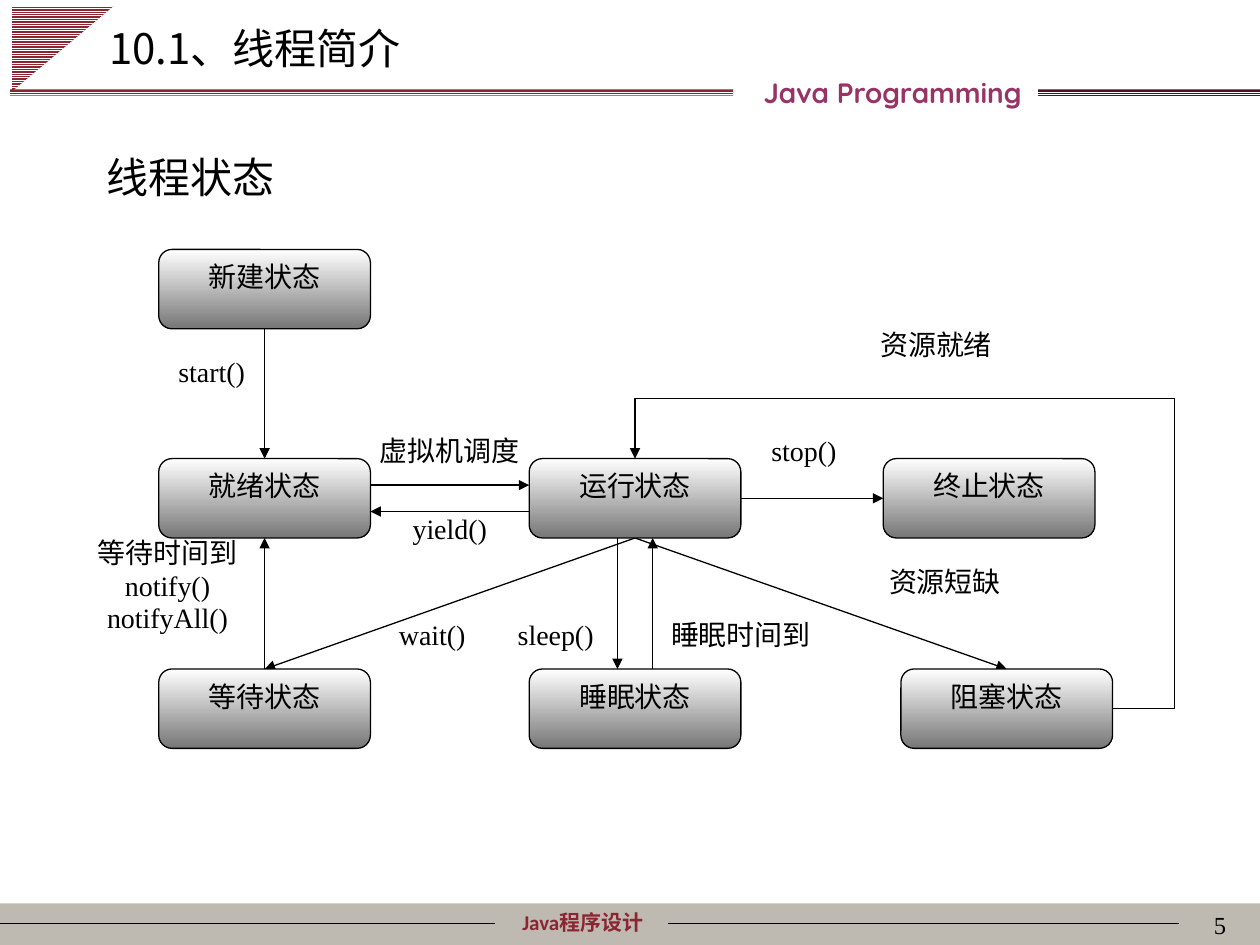
from dataclasses import dataclass
from typing import NamedTuple

import lxml.etree
import pptx
import pptx.dml.color
import pptx.enum.dml
import pptx.enum.shapes
import pptx.enum.text
import pptx.oxml.ns
import pptx.util

Inches = pptx.util.Inches
Shapes = pptx.enum.shapes.MSO_SHAPE
Connectors = pptx.enum.shapes.MSO_CONNECTOR
Align = pptx.enum.text.PP_ALIGN
Anchor = pptx.enum.text.MSO_ANCHOR
qualified = pptx.oxml.ns.qn


@dataclass(frozen=True)
class Theme:
    black: str = "000000"
    white: str = "FFFFFF"
    box_shade: str = "767676"
    footer: str = "BFBAB1"
    red: str = "8C2532"
    dark_red: str = "4C141B"
    plum: str = "993366"
    serif: str = "Times New Roman"
    chinese: str = "Noto Sans CJK SC"
    footer_font: str = "Calibri"
    course_font: str = "Quicksand"
    heading_size: int = 24
    label_size: int = 16
    number_size: int = 14
    footer_size: int = 12
    line_width: float = 0.75


THEME = Theme()


class Area(NamedTuple):
    left: float
    top: float
    width: float
    height: float

    def lengths(self) -> list:
        return [Inches(value) for value in self]


class Point(NamedTuple):
    x: float
    y: float


@dataclass(frozen=True)
class State:
    name: str
    left: float
    top: float
    width: float = 1.68
    height: float = 0.63

    def at(self, across: float, down: float) -> Point:
        """Point at the given fractions of the box's width and height."""
        return Point(self.left + across * self.width, self.top + down * self.height)


class Label(NamedTuple):
    text: str
    left: float
    top: float
    width: float
    height: float = 0.42
    line_spacing: float = 1.0


ROWS = (1.98, 3.64, 5.31)
COLUMNS = (1.26, 4.2)
NEW = State("新建状态", COLUMNS[0], ROWS[0])
READY = State("就绪状态", COLUMNS[0], ROWS[1])
RUNNING = State("运行状态", COLUMNS[1], ROWS[1])
ENDED = State("终止状态", 7.01, ROWS[1])
WAITING = State("等待状态", COLUMNS[0], ROWS[2])
SLEEPING = State("睡眠状态", COLUMNS[1], ROWS[2])
BLOCKED = State("阻塞状态", 7.15, ROWS[2])
STATES = (NEW, READY, RUNNING, ENDED, WAITING, SLEEPING, BLOCKED)

TRANSITIONS = (
    (NEW.at(0.5, 1), READY.at(0.5, 0)),
    (READY.at(1, 1 / 3), RUNNING.at(0, 1 / 3)),
    (RUNNING.at(0, 2 / 3), READY.at(1, 2 / 3)),
    (RUNNING.at(1, 0.5), ENDED.at(0, 0.5)),
    (RUNNING.at(0.5, 1), WAITING.at(0.5, 0)),
    (WAITING.at(0.5, 0), READY.at(0.5, 1)),
    (RUNNING.at(5 / 12, 1), SLEEPING.at(5 / 12, 0)),
    (SLEEPING.at(7 / 12, 0), RUNNING.at(7 / 12, 1)),
    (RUNNING.at(0.5, 1), BLOCKED.at(0.5, 0)),
)

LABELS = (
    Label("start()", 1.12, 2.81, 1.12),
    Label("虚拟机调度", 2.94, 3.44, 1.26),
    Label("yield()", 3.08, 4.06, 0.98),
    Label("stop()", 5.89, 3.44, 0.98),
    Label("wait()", 2.94, 4.9, 0.98),
    Label("sleep()", 3.92, 4.9, 0.98),
    Label("睡眠时间到", 5.18, 4.9, 1.4),
    Label("资源短缺", 6.73, 4.48, 1.54),
    Label("资源就绪", 6.73, 2.6, 1.4),
    Label("等待时间到\nnotify()\nnotifyAll()", 0.7, 4.27, 1.26, 1.25, 0.96),
)


def color(value: str) -> pptx.dml.color.RGBColor:
    return pptx.dml.color.RGBColor.from_string(value)


def write(shape, text: str, *, size: int = THEME.label_size, font: str = THEME.serif,
          ink: str = THEME.black, bold: bool = False, align=Align.CENTER,
          anchor=Anchor.TOP, margins: tuple = (0.1, 0.05), line_spacing: float = 1.0) -> None:
    """Fill a shape with text, one paragraph for each line."""
    frame = shape.text_frame
    frame.word_wrap = True
    frame.vertical_anchor = anchor
    frame.margin_left = frame.margin_right = Inches(margins[0])
    frame.margin_top = frame.margin_bottom = Inches(margins[1])
    frame.text = text
    for paragraph in frame.paragraphs:
        paragraph.alignment = align
        paragraph.line_spacing = line_spacing
        for run in paragraph.runs:
            run.font.size = pptx.util.Pt(size)
            run.font.bold = bold
            run.font.name = font
            run.font.color.rgb = color(ink)
            east_asian = lxml.etree.SubElement(run.font._element, qualified("a:ea"))
            east_asian.set("typeface", THEME.chinese)


def add_text(slide, area: Area, text: str, **text_format) -> None:
    write(slide.shapes.add_textbox(*area.lengths()), text, **text_format)


def add_shape(slide, kind, area: Area):
    shape = slide.shapes.add_shape(kind, *area.lengths())
    shape.shadow.inherit = False
    shape.line.fill.background()
    return shape


def add_striped(slide, kind, area: Area, stripe: str, rotation: float = 0) -> None:
    shape = add_shape(slide, kind, area)
    shape.rotation = rotation
    shape.fill.patterned()
    shape.fill.pattern = pptx.enum.dml.MSO_PATTERN.LIGHT_HORIZONTAL
    shape.fill.fore_color.rgb = color(THEME.white)
    shape.fill.back_color.rgb = color(stripe)


def set_line(line) -> None:
    line.color.rgb = color(THEME.black)
    line.width = pptx.util.Pt(THEME.line_width)


def add_line(slide, start: Point, end: Point, *, arrow: bool = True, kind=Connectors.STRAIGHT):
    connector = slide.shapes.add_connector(kind, *map(Inches, (*start, *end)))
    set_line(connector.line)
    if arrow:
        tail = lxml.etree.SubElement(connector.line._get_or_add_ln(), qualified("a:tailEnd"))
        tail.set("type", "triangle")
    lxml.etree.SubElement(connector._element.spPr, qualified("a:effectLst"))
    return connector


def add_return_path(slide, start: Point, end: Point, bends: tuple) -> None:
    """Three-bend arrow; bends are fractions of its width and height."""
    connector = add_line(slide, start, end, kind=Connectors.ELBOW)
    geometry = connector._element.spPr.find(qualified("a:prstGeom"))
    geometry.set("prst", "bentConnector4")
    adjustments = geometry.find(qualified("a:avLst"))
    for number, bend in enumerate(bends, start=1):
        guide = lxml.etree.SubElement(adjustments, qualified("a:gd"))
        guide.set("name", f"adj{number}")
        guide.set("fmla", f"val {round(bend * 100000)}")


def add_state(slide, state: State) -> None:
    box = add_shape(slide, Shapes.ROUNDED_RECTANGLE,
                    Area(state.left, state.top, state.width, state.height))
    set_line(box.line)
    box.fill.gradient()
    box.fill.gradient_angle = 270
    for stop, shade in zip(box.fill.gradient_stops, (THEME.white, THEME.box_shade)):
        stop.color.rgb = color(shade)
    write(box, state.name, margins=(0, 0.05))


def add_frame(slide) -> None:
    """Header ornaments, course name, footer and page number."""
    footer = add_shape(slide, Shapes.RECTANGLE, Area(0, 7.17, 10, 0.33))
    footer.fill.solid()
    footer.fill.fore_color.rgb = color(THEME.footer)
    add_text(slide, Area(3.62, 7.17, 2.01, 0.3), "Java程序设计", size=THEME.footer_size,
             font=THEME.footer_font, ink=THEME.red, bold=True, anchor=Anchor.MIDDLE)
    for left, right in ((0, 3.93), (5.3, 9.36)):
        add_line(slide, Point(left, 7.33), Point(right, 7.33), arrow=False)
    add_striped(slide, Shapes.RIGHT_TRIANGLE, Area(0.16, -0.02, 0.68, 0.81), THEME.red, 90)
    add_striped(slide, Shapes.RECTANGLE, Area(8.24, 0.71, 1.76, 0.06), THEME.dark_red)
    add_striped(slide, Shapes.RECTANGLE, Area(0.08, 0.71, 5.74, 0.05), THEME.red)
    add_text(slide, Area(5.08, 0.55, 4.01, 0.37), "Java Programming", font=THEME.course_font,
             ink=THEME.plum, bold=True, anchor=Anchor.MIDDLE)
    add_text(slide, Area(7.75, 7.17, 2.08, 0.5), "5", size=THEME.number_size, align=Align.RIGHT)


def main() -> None:
    presentation = pptx.Presentation()
    presentation.slide_width, presentation.slide_height = Inches(10), Inches(7.5)
    slide = presentation.slides.add_slide(presentation.slide_layouts[6])
    add_frame(slide)
    add_text(slide, Area(0.77, 0.13, 8.5, 0.5), "10.1、线程简介", size=THEME.heading_size,
             font=THEME.chinese, align=Align.LEFT, anchor=Anchor.MIDDLE)
    add_text(slide, Area(0.75, 1.15, 9, 5.34), "线程状态", size=THEME.heading_size,
             align=Align.LEFT)
    for start, end in TRANSITIONS:
        add_line(slide, start, end)
    add_return_path(slide, BLOCKED.at(1, 0.5), RUNNING.at(0.5, 0), (-0.13, 1.24))
    for text, *area, line_spacing in LABELS:
        add_text(slide, Area(*area), text, margins=(0, 0), line_spacing=line_spacing)
    for state in STATES:
        add_state(slide, state)
    presentation.save("out.pptx")


if __name__ == "__main__":
    main()
